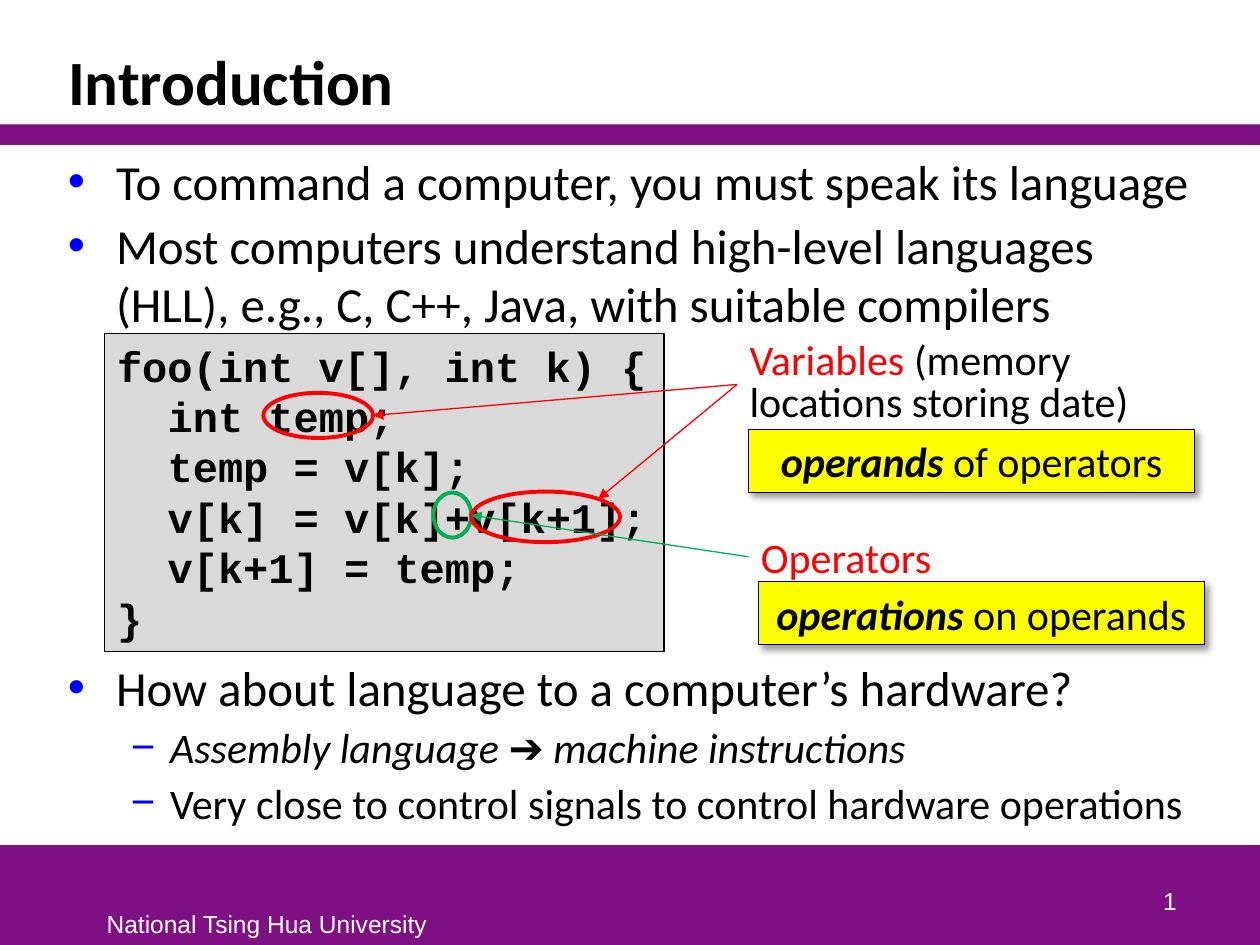
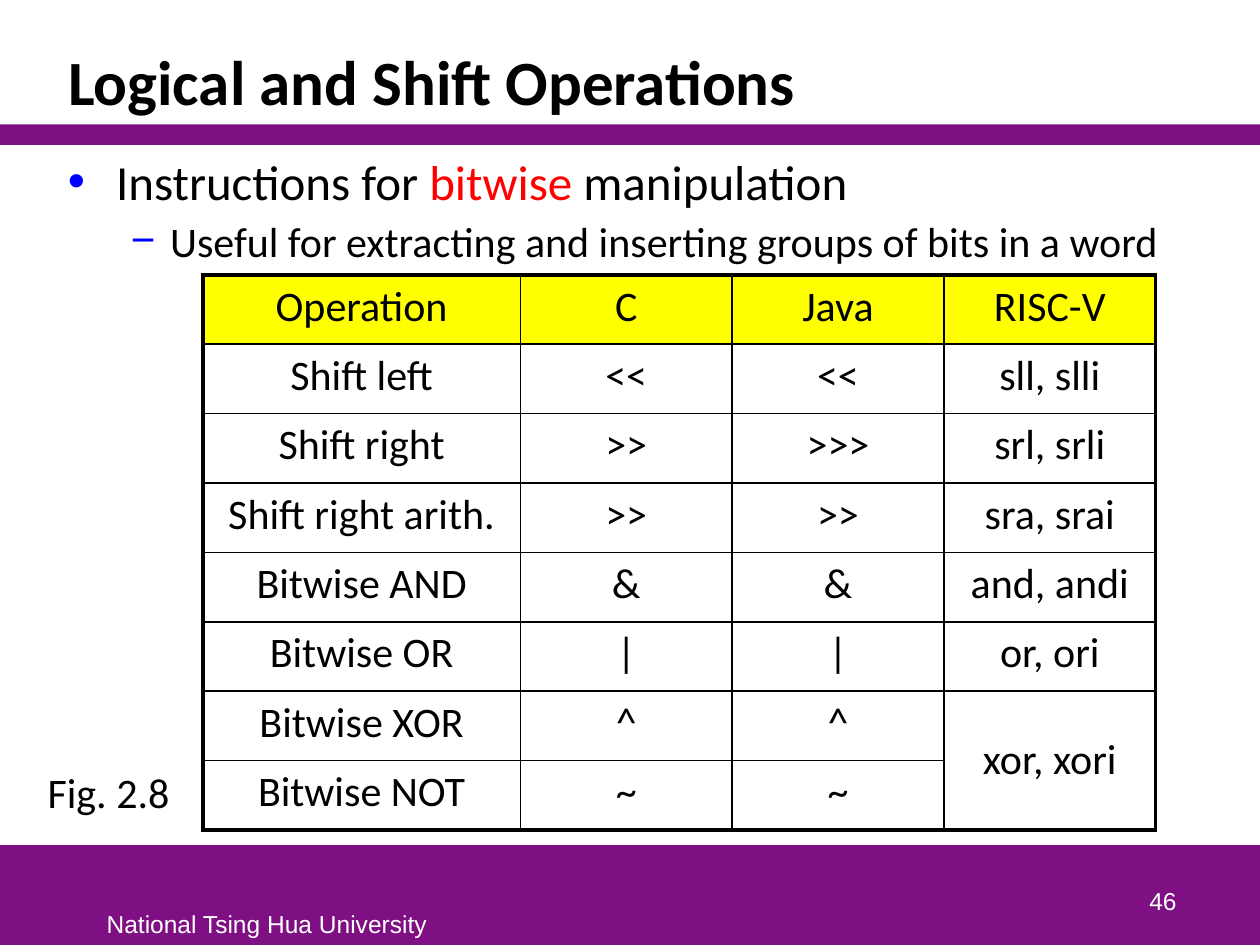
from dataclasses import dataclass
from math import sqrt

from lxml.etree import SubElement
from pptx import Presentation
from pptx.dml.color import RGBColor
from pptx.enum.shapes import MSO_CONNECTOR, MSO_SHAPE
from pptx.enum.text import MSO_ANCHOR, MSO_AUTO_SIZE, PP_ALIGN
from pptx.oxml import parse_xml
from pptx.oxml.ns import nsdecls, qn
from pptx.util import Cm, Pt


@dataclass(frozen=True)
class Theme:
    purple: str = "7F1084"
    white: str = "FFFFFF"
    black: str = "000000"
    blue: str = "0000FF"
    red: str = "FF0000"
    green: str = "00B050"
    yellow: str = "FFFF00"
    grey: str = "D9D9D9"
    body_font: str = "Calibri"
    footer_font: str = "Arial"
    code_font: str = "Courier New"
    title_size: int = 36
    bullet_size: int = 28
    detail_size: int = 24
    footer_size: int = 14
    thin: float = 0.75
    oval: float = 2.25


THEME = Theme()
EMPHASIS = {"bold": True, "italic": True}
BULLET_LEVELS = (
    ("•", THEME.bullet_size, 0.97, 0.97),
    ("−", THEME.detail_size, 2.06, 0.79),
)


def color_of(value):
    return RGBColor.from_string(value)


def write(paragraph, text, *, size=THEME.detail_size, font=THEME.body_font,
          color=THEME.black, bold=False, italic=False, align=PP_ALIGN.LEFT,
          line_spacing=None, before=0, margin=0, hanging=0, bullet=None):
    paragraph.alignment = align
    paragraph.space_before = Pt(before)
    if line_spacing:
        paragraph.line_spacing = line_spacing
    properties = paragraph._p.get_or_add_pPr()
    properties.set("marL", str(Cm(margin)))
    properties.set("indent", str(-Cm(hanging)))
    if bullet:
        bullet_color = SubElement(properties, qn("a:buClr"))
        SubElement(bullet_color, qn("a:srgbClr"), val=THEME.blue)
        SubElement(properties, qn("a:buFont"), typeface="Arial")
        SubElement(properties, qn("a:buChar"), char=bullet)
    pieces = [(text, {})] if isinstance(text, str) else text
    for content, changes in pieces:
        look = {"color": color, "bold": bold, "italic": italic, **changes}
        run = paragraph.add_run()
        run.text = content
        run.font.name = font
        run.font.size = Pt(size)
        run.font.bold = look["bold"]
        run.font.italic = look["italic"]
        run.font.color.rgb = color_of(look["color"])


class Deck:
    def __init__(self, theme):
        self.theme = theme
        self.presentation = Presentation()
        self.presentation.slide_width = Cm(25.4)
        self.presentation.slide_height = Cm(19.05)
        self.slide = None

    def start_slide(self, title, number):
        theme = self.theme
        layout = self.presentation.slide_layouts.get_by_name("Title Only")
        self.slide = self.presentation.slides.add_slide(layout)
        for top, height in ((17.04, 2.01), (2.51, 0.41)):
            self.shape(MSO_SHAPE.RECTANGLE, 0, top, 25.4, height, fill=theme.purple)
        shape = self.slide.shapes.title
        shape.left, shape.top, shape.width, shape.height = map(Cm, (1.12, 0.64, 23.16, 1.88))
        frame = shape.text_frame
        frame.auto_size = MSO_AUTO_SIZE.NONE
        frame.vertical_anchor = MSO_ANCHOR.BOTTOM
        write(frame.paragraphs[0], title, size=theme.title_size, bold=True, line_spacing=0.85)
        footer = {"size": theme.footer_size, "font": theme.footer_font, "color": theme.white}
        self.text("National Tsing Hua University", 1.9, 18.21, 7.01, 0.84, wrap=False, **footer)
        self.text(number, 18.69, 17.3, 5.28, 1.27, anchor=MSO_ANCHOR.BOTTOM,
                  align=PP_ALIGN.RIGHT, **footer)

    def text_box(self, left, top, width, height, wrap=True, anchor=MSO_ANCHOR.TOP):
        box = self.slide.shapes.add_textbox(*map(Cm, (left, top, width, height)))
        box.text_frame.word_wrap = wrap
        box.text_frame.vertical_anchor = anchor
        return box

    def text(self, text, left, top, width, height, wrap=True,
             anchor=MSO_ANCHOR.TOP, **style):
        box = self.text_box(left, top, width, height, wrap, anchor)
        write(box.text_frame.paragraphs[0], text, **style)
        return box

    def bullets(self, items, top, height):
        frame = self.text_box(1.12, top, 23.16, height).text_frame
        for index, (level, text) in enumerate(items):
            paragraph = frame.add_paragraph() if index else frame.paragraphs[0]
            paragraph.level = level
            bullet, size, margin, hanging = BULLET_LEVELS[level]
            write(paragraph, text, size=size, before=3, margin=margin,
                  hanging=hanging, bullet=bullet)

    def shape(self, kind, left, top, width, height, fill=None, line=None, weight=THEME.thin):
        shape = self.slide.shapes.add_shape(kind, *map(Cm, (left, top, width, height)))
        shape.shadow.inherit = False
        if fill:
            shape.fill.solid()
            shape.fill.fore_color.rgb = color_of(fill)
        else:
            shape.fill.background()
        if line:
            shape.line.color.rgb = color_of(line)
            shape.line.width = Pt(weight)
        else:
            shape.line.fill.background()
        return shape

    def oval(self, left, top, width, height, color):
        return self.shape(MSO_SHAPE.OVAL, left, top, width, height,
                          line=color, weight=self.theme.oval)

    def code(self, lines, left, top, width, height):
        shape = self.shape(MSO_SHAPE.RECTANGLE, left, top, width, height,
                           fill=self.theme.grey, line=self.theme.black)
        frame = shape.text_frame
        frame.word_wrap = False
        frame.vertical_anchor = MSO_ANCHOR.TOP
        for index, (depth, line) in enumerate(lines):
            paragraph = frame.add_paragraph() if index else frame.paragraphs[0]
            write(paragraph, line, font=self.theme.code_font, bold=True, margin=depth * 1.02)

    def callout(self, text, left, top):
        shape = self.shape(MSO_SHAPE.RECTANGLE, left, top, 8.99, 1.27,
                           fill=self.theme.yellow, line=self.theme.black)
        effects = shape._element.spPr.find(qn("a:effectLst"))
        shadow = SubElement(effects, qn("a:outerShdw"), blurRad=str(Pt(4)),
                            dist=str(Pt(3)), dir="2700000", algn="tl", rotWithShape="0")
        shadow_color = SubElement(shadow, qn("a:srgbClr"), val=self.theme.black)
        SubElement(shadow_color, qn("a:alpha"), val="40000")
        shape.text_frame.word_wrap = True
        shape.text_frame.vertical_anchor = MSO_ANCHOR.MIDDLE
        write(shape.text_frame.paragraphs[0], text, align=PP_ALIGN.CENTER)

    def arrow(self, label, oval, color, upper_right=False):
        reach = 1 / sqrt(2) if upper_right else 1
        rise = reach if upper_right else 0
        end_left = int(oval.left + oval.width * (1 + reach) / 2)
        end_top = int(oval.top + oval.height * (1 - rise) / 2)
        connector = self.slide.shapes.add_connector(
            MSO_CONNECTOR.STRAIGHT, label.left, label.top + label.height // 2,
            end_left, end_top)
        connector.begin_connect(label, 1)
        connector.line.color.rgb = color_of(color)
        connector.line.width = Pt(self.theme.thin)
        SubElement(connector.line._get_or_add_ln(), qn("a:tailEnd"), type="triangle")
        SubElement(connector._element.spPr, qn("a:effectLst"))

    def border(self, cell, weights):
        properties = cell._tc.get_or_add_tcPr()
        for index, (side, weight) in enumerate(weights.items()):
            properties.insert(index, parse_xml(
                f'<a:ln{side} {nsdecls("a")} w="{Pt(weight)}"><a:solidFill>'
                f'<a:srgbClr val="{self.theme.black}"/></a:solidFill></a:ln{side}>'))

    def table(self, rows, left, top, widths, row_height):
        last_row, last_column = len(rows) - 1, len(widths) - 1
        frame = self.slide.shapes.add_table(
            len(rows), len(widths),
            *map(Cm, (left, top, sum(widths), row_height * len(rows))))
        table = frame.table
        table.first_row = table.horz_banding = False
        for column, width in zip(table.columns, widths):
            column.width = Cm(width)
        for row_index, values in enumerate(rows):
            table.rows[row_index].height = Cm(row_height)
            for column_index, value in enumerate(values):
                cell = table.cell(row_index, column_index)
                if row_index == 0:
                    cell.fill.solid()
                    cell.fill.fore_color.rgb = color_of(self.theme.yellow)
                else:
                    cell.fill.background()
                self.border(cell, {
                    "L": 2.25 if column_index == 0 else 1,
                    "R": 2.25 if column_index == last_column else 1,
                    "T": {0: 2.25, 1: 1.5}.get(row_index, 1),
                    "B": {0: 1.5, last_row: 2.25}.get(row_index, 1),
                })
                if value:
                    write(cell.text_frame.paragraphs[0], value, align=PP_ALIGN.CENTER)
        return table


def add_introduction(deck):
    theme = deck.theme
    deck.start_slide("Introduction", "1")
    deck.bullets([
        (0, "To command a computer, you must speak its language"),
        (0, "Most computers understand high-level languages (HLL), e.g., C, C++, Java, "
            "with suitable compilers"),
    ], 2.92, 3.8)
    deck.bullets([
        (0, "How about language to a computer’s hardware?"),
        (1, [("Assembly language ", {"italic": True}), ("➔ ", {}),
             ("machine instructions", {"italic": True})]),
        (1, "Very close to control signals to control hardware operations"),
    ], 13.13, 3.8)
    deck.code([
        (0, "foo(int v[], int k) {"),
        (1, "int temp;"),
        (1, "temp = v[k];"),
        (1, "v[k] = v[k]+v[k+1];"),
        (1, "v[k+1] = temp;"),
        (0, "}"),
    ], 2.11, 6.73, 11.28, 6.4)
    variables = deck.text(
        [("Variables", {"color": theme.red}), (" (memory locations storing date)", {})],
        14.86, 6.76, 9.45, 1.98, line_spacing=Pt(24))
    operators = deck.text("Operators", 15.09, 10.59, 4.39, 1.27, color=theme.red)
    plus_oval = deck.oval(8.74, 9.93, 0.76, 0.91, theme.green)
    temp_oval = deck.oval(5.31, 7.92, 2.21, 0.91, theme.red)
    element_oval = deck.oval(9.5, 9.91, 3, 1.02, theme.red)
    deck.arrow(operators, plus_oval, theme.green)
    deck.arrow(variables, element_oval, theme.red, upper_right=True)
    deck.arrow(variables, temp_oval, theme.red)
    deck.callout([("operations", EMPHASIS), (" on operands", {})], 15.29, 11.73)
    deck.callout([("operands", EMPHASIS), (" of operators", {})], 15.09, 8.66)


def add_logical_operations(deck):
    deck.start_slide("Logical and Shift Operations", "46")
    deck.bullets([
        (0, [("Instructions for ", {}), ("bitwise", {"color": deck.theme.red}),
             (" manipulation", {})]),
        (1, "Useful for extracting and inserting groups of bits in a word"),
    ], 2.92, 2.6)
    operations = deck.table([
        ("Operation", "C", "Java", "RISC-V"),
        ("Shift left", "<<", "<<", "sll, slli"),
        ("Shift right", ">>", ">>>", "srl, srli"),
        ("Shift right arith.", ">>", ">>", "sra, srai"),
        ("Bitwise AND", "&", "&", "and, andi"),
        ("Bitwise OR", "|", "|", "or, ori"),
        ("Bitwise XOR", "^", "^", "xor, xori"),
        ("Bitwise NOT", "~", "~", None),
    ], 4.09, 5.54, (6.4, 4.27, 4.27, 4.27), 1.4)
    xor_cell = operations.cell(6, 3)
    xor_cell.merge(operations.cell(7, 3))
    xor_cell.vertical_anchor = MSO_ANCHOR.MIDDLE
    deck.border(xor_cell, {})
    xor_cell._tc.tcPr.find(qn("a:lnB")).set("w", str(Pt(2.25)))
    deck.text("Fig. 2.8", 0.71, 15.32, 2.97, 1.27, wrap=False)


def main():
    deck = Deck(THEME)
    add_introduction(deck)
    add_logical_operations(deck)
    deck.presentation.save("out.pptx")


if __name__ == "__main__":
    main()
